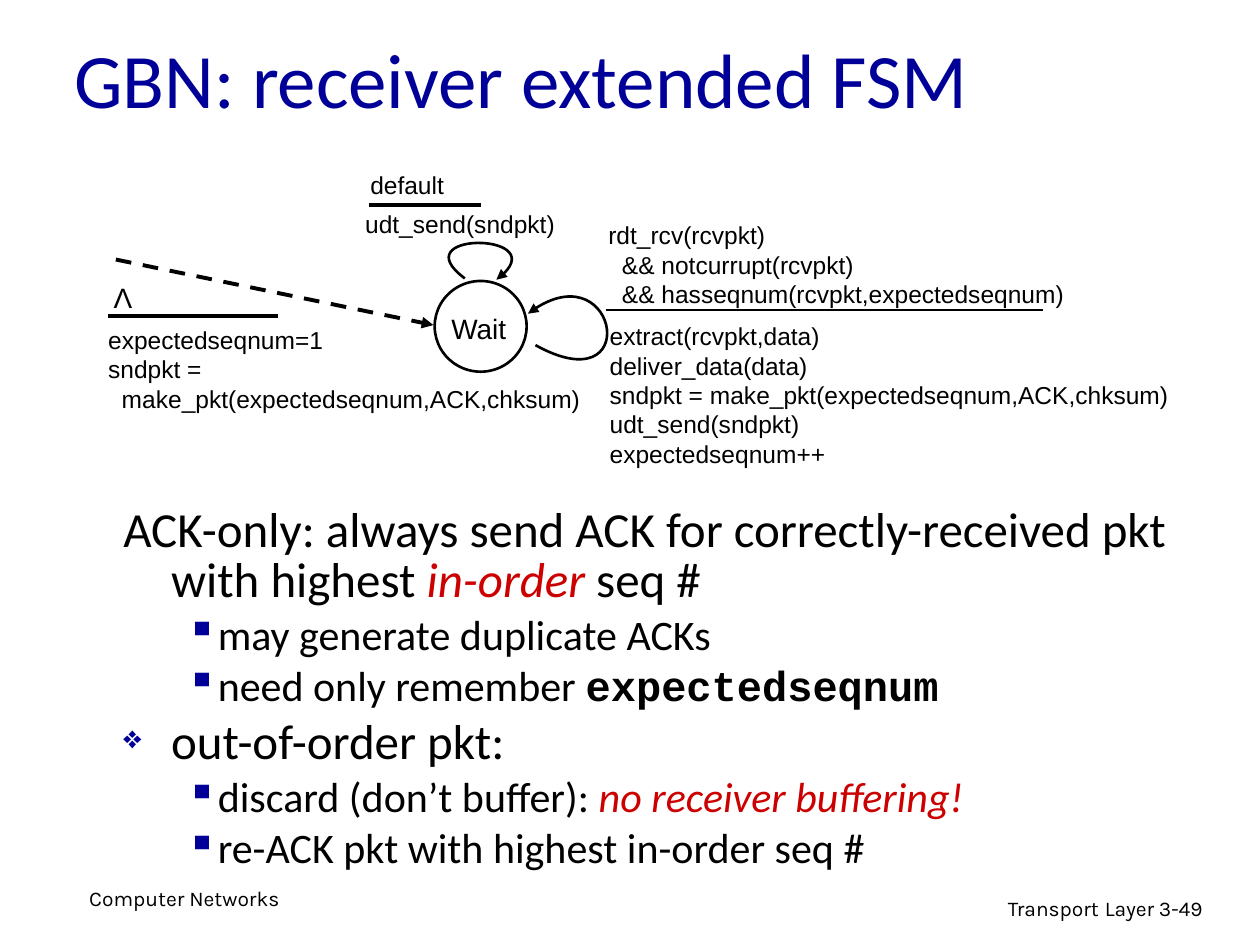
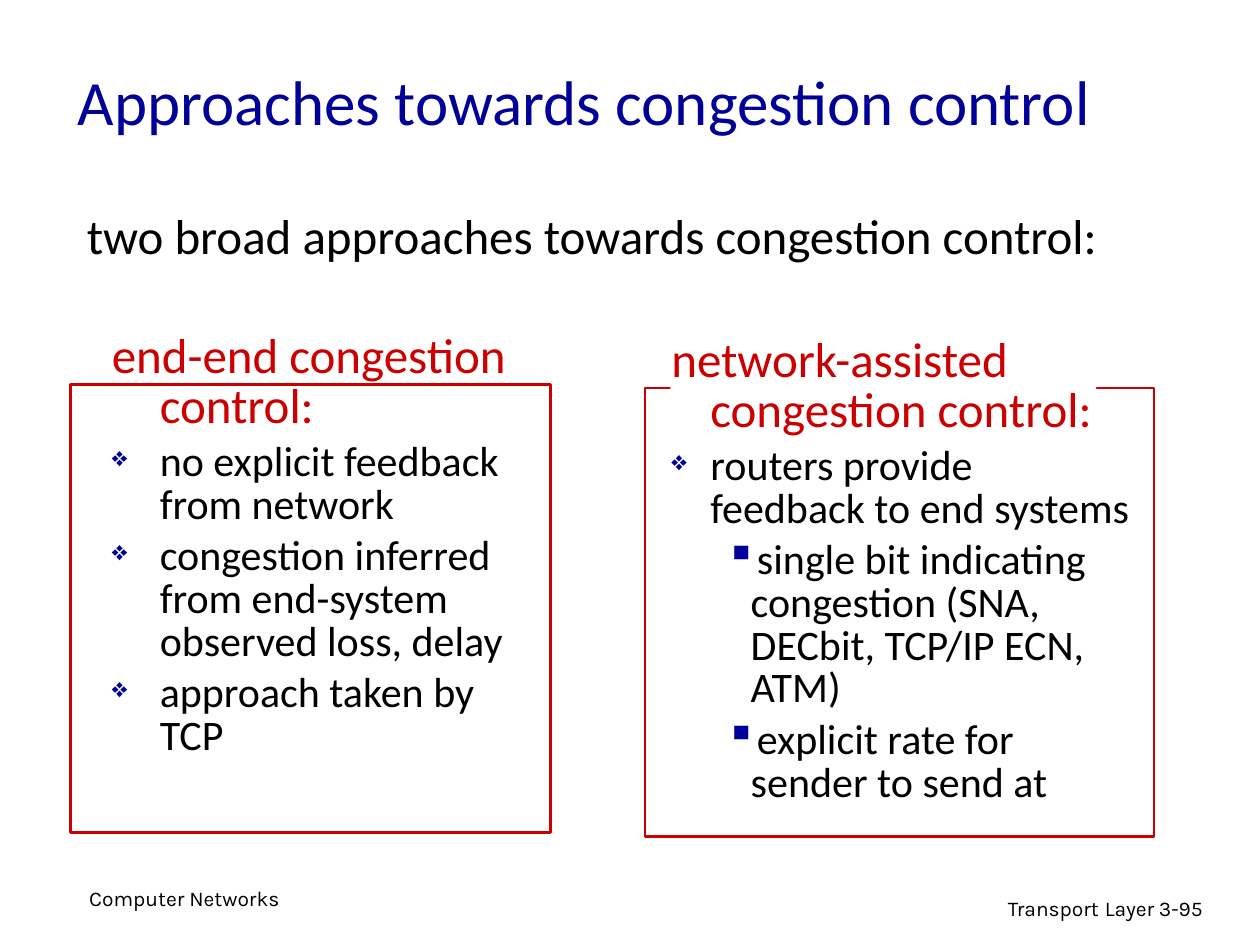
from dataclasses import dataclass

from lxml.etree import SubElement
from pptx import Presentation
from pptx.dml.color import RGBColor
from pptx.enum.dml import MSO_LINE
from pptx.enum.shapes import MSO_CONNECTOR, MSO_SHAPE
from pptx.enum.text import MSO_ANCHOR, PP_ALIGN
from pptx.oxml.ns import qn
from pptx.util import Inches, Pt


@dataclass(frozen=True)
class Theme:
    """Colours, fonts and type sizes shared by the slides."""
    ink: str = "000000"
    blue: str = "000099"
    red: str = "CC0000"
    white: str = "FFFFFF"
    main: str = "Calibri"
    fsm: str = "Arial"
    code: str = "Courier New"
    foot: str = "Karla"
    head: int = 28
    item: int = 24
    state: int = 16
    label: int = 14
    small: int = 12
    thin: float = 1.5
    thick: float = 2.25


T = Theme()
DIAMOND = ("❖", 65)
SQUARE = ("▪", 100)


def rgb(tone):
    """Turn a hex string into a colour."""
    return RGBColor.from_string(tone)


def style(run, size, face=T.main, tone=T.ink, bold=None, slant=None):
    """Format one run."""
    font = run.font
    font.size, font.name = Pt(size), face
    font.bold, font.italic = bold, slant
    font.color.rgb = rgb(tone)


def frame(slide, box, wrap=True):
    """Add a text box and return its text frame."""
    area = slide.shapes.add_textbox(*map(Inches, box)).text_frame
    area.word_wrap = wrap
    return area


def write(slide, box, text, size, face, tone=T.ink, align=None, wrap=True):
    """Add a text box in a single style, one paragraph a line."""
    area = frame(slide, box, wrap)
    area.text = text
    for para in area.paragraphs:
        para.alignment = align
        for run in para.runs:
            style(run, size, face, tone)
    return area


def bullet(para, sign, scale):
    """Give a paragraph a blue bullet."""
    props = para._p.get_or_add_pPr()
    tint = SubElement(props, qn("a:buClr"))
    SubElement(tint, qn("a:srgbClr"), val=T.blue)
    SubElement(props, qn("a:buSzPct"), val=str(scale * 1000))
    SubElement(props, qn("a:buChar"), char=sign)


def outline(slide, box, items, main=0.38, sub=(0.75, 0.25)):
    """Write (level, mark, size, runs) items with hanging indents."""
    area = frame(slide, box)
    for i, (level, mark, size, runs) in enumerate(items):
        para = area.add_paragraph() if i else area.paragraphs[0]
        para.level = level
        left, hang = sub if level else (main, main)
        props = para._p.get_or_add_pPr()
        props.set("marL", str(Inches(left)))
        props.set("indent", str(-Inches(hang)))
        if mark:
            bullet(para, *mark)
        para.line_spacing = 0.85
        if i:
            para.space_before = Pt(size * 0.2)
        for text, look in runs:
            run = para.add_run()
            run.text = text
            style(run, size, **look)


def stroke(shape, width, arrow=False):
    """Draw a black line, with an arrowhead if asked."""
    shape.line.color.rgb = rgb(T.ink)
    shape.line.width = Pt(width)
    if arrow:
        line = shape._element.spPr.find(qn("a:ln"))
        SubElement(line, qn("a:tailEnd"), type="triangle")


def link(slide, start, end, width, dash=False):
    """Add a straight line, or a dashed arrow."""
    line = slide.shapes.add_connector(
        MSO_CONNECTOR.STRAIGHT, *map(Inches, start + end))
    if dash:
        line.line.dash_style = MSO_LINE.DASH
    stroke(line, width, arrow=dash)
    SubElement(line._element.spPr, qn("a:effectLst"))


def curve(slide, *points):
    """Add an arrow along a cubic curve with four control points."""
    start, *rest = [tuple(map(Inches, point)) for point in points]
    pen = slide.shapes.build_freeform(*start)
    pen.add_line_segments(rest, close=False)
    loop = pen.convert_to_shape()
    route = loop._element.find(".//" + qn("a:path"))
    steps = route.findall(qn("a:lnTo"))
    bend = SubElement(route, qn("a:cubicBezTo"))
    for step in steps:
        bend.append(step[0])
        route.remove(step)
    loop.fill.background()
    loop.shadow.inherit = False
    stroke(loop, T.thin, arrow=True)


def block(slide, kind, box, fill=None, line=None):
    """Add a preset shape with an optional fill and line."""
    shape = slide.shapes.add_shape(kind, *map(Inches, box))
    shape.shadow.inherit = False
    if fill:
        shape.fill.solid()
        shape.fill.fore_color.rgb = rgb(fill)
    else:
        shape.fill.background()
    if line:
        shape.line.color.rgb = rgb(line)
        shape.line.width = Pt(T.thin)
    else:
        shape.line.fill.background()


def title(slide, box, text, size):
    """Write the slide title."""
    area = write(slide, box, text, size, T.main, T.blue)
    area.vertical_anchor = MSO_ANCHOR.MIDDLE


def footer(slide, page, box=(0.61, 6.98, 9.23, 0.38)):
    """Write the course, chapter and page at the foot."""
    x, y, wide, _ = box
    write(slide, (x, y, 2.08, 0.33), "Computer Networks", T.small, T.foot)
    edge = x + wide - 0.74
    area = write(slide, (edge - 3.01, y + 0.05, 3.17, 0.31), "Transport",
                 T.small, T.foot, align=PP_ALIGN.RIGHT)
    for text, size in ((" ", T.label), ("Layer", T.small)):
        run = area.paragraphs[0].add_run()
        run.text = text
        style(run, size, T.foot)
    write(slide, (edge, y + 0.08, 0.74, 0.3), page, T.small, T.foot)


def machine(slide, box):
    """Draw the receiver state machine."""
    left, top = box[:2]

    def at(x, y, *size):
        return (left + x, top + y, *size)

    def label(spot, text):
        write(slide, at(*spot), text, T.label, T.fsm)

    block(slide, MSO_SHAPE.OVAL, at(2.69, 0.93, 0.73, 0.72), T.white, T.ink)
    write(slide, at(2.6, 1.12, 0.88, 0.26), "Wait", T.state, T.fsm,
          align=PP_ALIGN.CENTER)

    link(slide, at(0.16, 0.76), at(2.68, 1.28), T.thick, dash=True)
    write(slide, at(0.04, 0.88, 0.35, 0.37), "Λ", T.state, T.fsm,
          align=PP_ALIGN.CENTER, wrap=False)
    link(slide, at(0.1, 1.21), at(1.45, 1.21), T.thick)
    label((0, 1.23, 3.98, 1.07),
          "expectedseqnum=1\nsndpkt =\n"
          "  make_pkt(expectedseqnum,ACK,chksum)")

    label((2.08, 0, 0.79, 0.27), "default")
    link(slide, at(2.17, 0.33), at(3.06, 0.33), T.thick)
    label((2.04, 0.31, 1.77, 0.34), "udt_send(sndpkt)")
    curve(slide, at(2.93, 0.91), at(2.43, 0.54), at(3.69, 0.54),
          at(3.18, 0.92))

    label((3.97, 0.4, 3.9, 0.62),
          "rdt_rcv(rcvpkt)\n  && notcurrupt(rcvpkt)\n"
          "  && hasseqnum(rcvpkt,expectedseqnum)")
    link(slide, at(4.05, 1.16), at(7.52, 1.16), T.thin)
    label((3.98, 1.2, 4.72, 0.94),
          "extract(rcvpkt,data)\ndeliver_data(data)\n"
          "sndpkt = make_pkt(expectedseqnum,ACK,chksum)\n"
          "udt_send(sndpkt)\nexpectedseqnum++")
    curve(slide, at(3.49, 1.44), at(4.34, 1.91), at(4.14, 0.65),
          at(3.43, 1.19))


def plain(text, **look):
    """Make a list of one run."""
    return [(text, look)]


def point(text):
    """Make a main item of a column."""
    return 0, DIAMOND, T.item, plain(text)


def detail(text, *more):
    """Make a second-level item."""
    return 1, SQUARE, T.item, plain(text) + list(more)


def column(slide, box, shift, grow, head, items, mask=None, **indents):
    """Frame one approach, its red heading crossing the top edge."""
    x, y, wide, high = box
    block(slide, MSO_SHAPE.RECTANGLE, box, line=T.red)
    if mask:
        block(slide, MSO_SHAPE.RECTANGLE,
              (x + mask[0], y + mask[1], *mask[2:]), fill=T.white)
    first = (0, None, T.head, plain(head, tone=T.red))
    outline(slide, (x + shift, y - 0.45, wide - grow, high + 0.65),
            [first, *items], **indents)


def receiver(slide):
    """Build the slide on the receiver."""
    accent = {"tone": T.red, "slant": True}
    title(slide, (0.49, 0.23, 8.5, 0.77), "GBN: receiver extended FSM", 44)
    machine(slide, (0.76, 1.3, 8.7, 2.3))
    outline(slide, (0.88, 3.98, 8.91, 3.12), [
        (0, None, T.head, [
            ("ACK-only: always send ACK for correctly-received pkt "
             "with highest ", {}),
            ("in-order", accent), (" seq #", {})]),
        detail("may generate duplicate ACKs"),
        detail("need only remember ",
               ("expectedseqnum", {"face": T.code, "bold": True})),
        (0, DIAMOND, T.head, plain("out-of-order pkt:")),
        detail("discard (don’t buffer): ",
               ("no receiver buffering!", accent)),
        detail("re-ACK pkt with highest in-order seq #")])
    footer(slide, "3-49")


def control(slide):
    """Build the slide on congestion control."""
    title(slide, (0.52, 0.3, 8.5, 1),
          "Approaches towards congestion control", 36)
    outline(slide, (0.59, 1.65, 8.92, 0.6), [
        (0, None, T.head,
         plain("two broad approaches towards congestion control:"))])
    column(slide, (0.56, 3.05, 3.81, 3.56), 0.23, 0.21,
           "end-end congestion control:", [
               point("no explicit feedback from network"),
               point("congestion inferred from end-system observed loss, "
                     "delay"),
               point("approach taken by TCP")])
    column(slide, (5.12, 3.08, 4.04, 3.56), 0.11, 0.16,
           "network-assisted congestion control:", [
               point("routers provide feedback to end systems"),
               detail("single bit indicating congestion (SNA, DECbit, "
                      "TCP/IP ECN, ATM)"),
               detail("explicit rate for sender to send at")],
           mask=(0.2, -0.29, 3.38, 0.62), main=0.31, sub=(0.63, 0.2))
    footer(slide, "3-95")


def main():
    """Build and save the deck."""
    deck = Presentation()
    deck.slide_width, deck.slide_height = Inches(10), Inches(7.5)
    for build in (receiver, control):
        build(deck.slides.add_slide(deck.slide_layouts[6]))
    deck.save("out.pptx")


if __name__ == "__main__":
    main()
